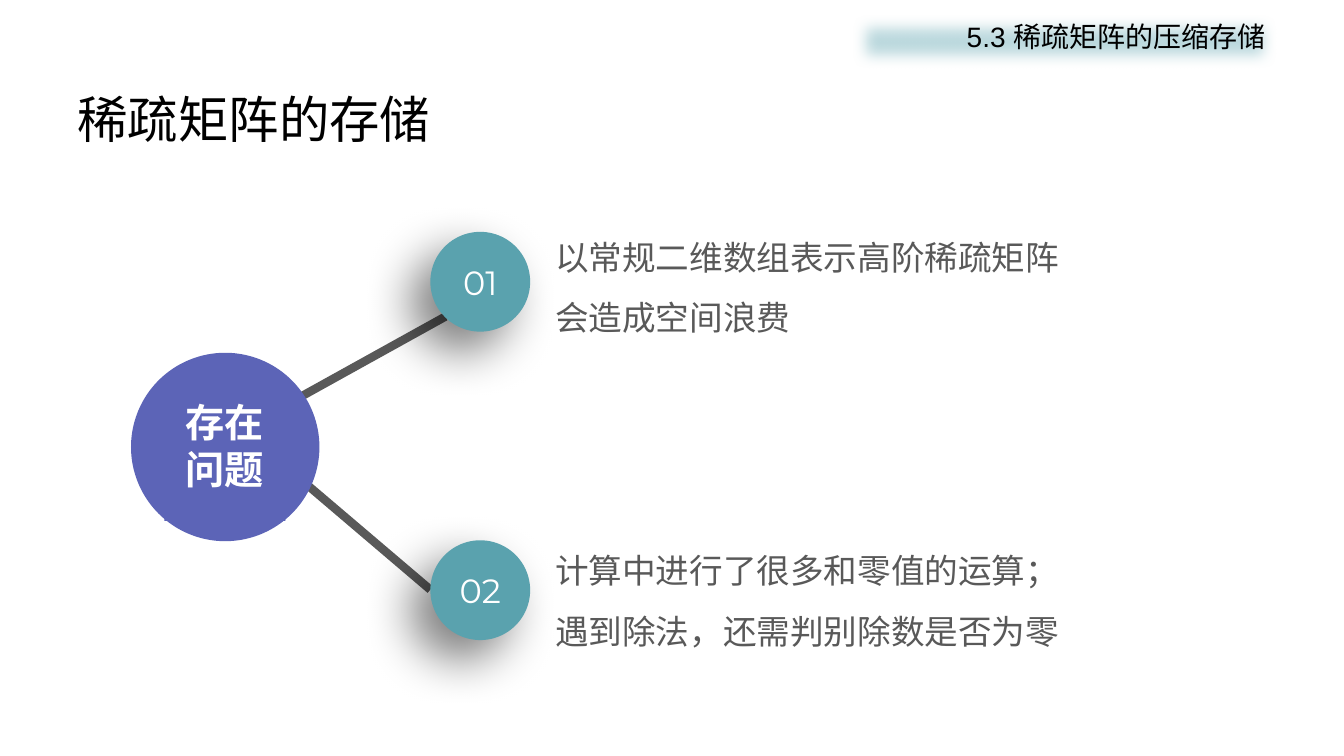
from lxml import etree
from pptx import Presentation
from pptx.dml import color
from pptx.enum import shapes, text
from pptx.oxml import ns
from pptx.util import Pt

CJK = "Noto Sans CJK SC"
TEAL, VIOLET, GREY, WHITE, BLACK = "5AA2AE", "5C64B7", "595959", "FFFFFF", "000000"
NODE_SIZE = 71.3


def rgb(value):
    return color.RGBColor.from_string(value)


def add_xml(parent, tag, **attributes):
    return etree.SubElement(parent, ns.qn(tag), {key: str(value) for key, value in attributes.items()})


def write(frame, lines, formats, shade, align=text.PP_ALIGN.LEFT, spacing=None):
    frame.text = "\n".join(lines)
    for paragraph in frame.paragraphs:
        paragraph.alignment = align
        paragraph.space_before = Pt(0)
        if spacing:
            paragraph.line_spacing = spacing
        for run in paragraph.runs:
            for name, value in formats.items():
                setattr(run.font, name, value)
            run.font.color.rgb = rgb(shade)
            if formats["name"] == CJK:
                add_xml(run.font._element, "a:ea", typeface=CJK)


def place(shape, left, top, width, height):
    shape.left, shape.top, shape.width, shape.height = map(Pt, (left, top, width, height))


def add_filled(container, kind, box, fill):
    shape = container.shapes.add_shape(kind, *map(Pt, box))
    shape.shadow.inherit = False
    shape.fill.solid()
    shape.fill.fore_color.rgb = rgb(fill)
    shape.line.fill.background()
    return shape


def add_branch(slide, start, end):
    branch = slide.shapes.add_connector(shapes.MSO_CONNECTOR.STRAIGHT, *map(Pt, start + end))
    branch.line.width = Pt(6)
    branch.line.color.rgb = rgb(GREY)
    add_xml(branch._element.spPr, "a:effectLst")


def add_node(slide, number, top):
    node = add_filled(slide, shapes.MSO_SHAPE.OVAL, (307.4, top, NODE_SIZE, NODE_SIZE), TEAL)
    effects = node._element.spPr.find(ns.qn("a:effectLst"))
    shadow = add_xml(effects, "a:outerShdw", blurRad=Pt(35), dist=Pt(20),
                     dir=135 * 60000, algn="tr", rotWithShape=0)
    add_xml(add_xml(shadow, "a:srgbClr", val=BLACK), "a:alpha", val=50000)
    node.text_frame.vertical_anchor = text.MSO_ANCHOR.MIDDLE
    write(node.text_frame, [number], {"name": "Montserrat", "size": Pt(24)}, WHITE,
          text.PP_ALIGN.CENTER)


def add_issue(slide, issue, top):
    frame = slide.shapes.add_textbox(*map(Pt, (389.5, top, 381.6, 87.8))).text_frame
    frame.word_wrap = True
    frame.auto_size = text.MSO_AUTO_SIZE.SHAPE_TO_FIT_TEXT
    write(frame, [issue], {"name": "Arial", "size": Pt(24)}, GREY, spacing=1.5)


def add_hub(slide):
    hub = slide.shapes.add_group_shape()
    ring = add_filled(hub, shapes.MSO_SHAPE.DONUT, (93.6, 252, 134.6, 134.6), VIOLET)
    ring.adjustments[0] = 0.05
    add_filled(hub, shapes.MSO_SHAPE.OVAL, (96.5, 254.9, 128.9, 128.9), VIOLET)
    caption = add_filled(hub, shapes.MSO_SHAPE.RECTANGLE, (117.4, 280.8, 86.4, 91.4), VIOLET)
    caption.text_frame.word_wrap = False
    caption.text_frame.auto_size = text.MSO_AUTO_SIZE.SHAPE_TO_FIT_TEXT
    caption.text_frame.vertical_anchor = text.MSO_ANCHOR.TOP
    write(caption.text_frame, ["存在", "问题"], {"name": CJK, "size": Pt(28), "bold": True},
          WHITE, text.PP_ALIGN.CENTER)


def format_title(title):
    place(title, 48.2, 57.6, 864, 54)
    title.text_frame.auto_size = text.MSO_AUTO_SIZE.NONE
    title.text_frame.vertical_anchor = text.MSO_ANCHOR.MIDDLE
    write(title.text_frame, ["稀疏矩阵的存储"], {"name": CJK, "size": Pt(36)}, BLACK)


def format_section(section):
    place(section, 609.1, 10.1, 302.4, 38.9)
    section.fill.solid()
    section.fill.fore_color.rgb = rgb("BDDADF")
    add_xml(add_xml(section._element.spPr, "a:effectLst"), "a:softEdge", rad=Pt(10))
    frame = section.text_frame
    frame.auto_size = text.MSO_AUTO_SIZE.NONE
    frame.vertical_anchor = text.MSO_ANCHOR.TOP
    write(frame, ["5.3 稀疏矩阵的压缩存储"], {"name": "Arial", "size": Pt(20)}, BLACK,
          text.PP_ALIGN.RIGHT)
    properties = frame.paragraphs[0]._p.get_or_add_pPr()
    properties.set("marL", "0")
    properties.set("indent", "0")
    add_xml(properties, "a:buNone")


def main():
    deck = Presentation()
    deck.slide_width, deck.slide_height = Pt(960), Pt(540)
    slide = deck.slides.add_slide(deck.slide_layouts[1])
    format_title(slide.shapes.title)
    format_section(slide.placeholders[1])
    hub_center = (172.8, 306.7)
    add_branch(slide, (307.4, 421.2), hub_center)
    add_branch(slide, hub_center, (318.2, 226.1))
    add_node(slide, "02", 385.9)
    add_node(slide, "01", 165.6)
    add_issue(slide, "以常规二维数组表示高阶稀疏矩阵会造成空间浪费", 151.2)
    add_hub(slide)
    add_issue(slide, "计算中进行了很多和零值的运算；遇到除法，还需判别除数是否为零", 375.1)
    deck.save("out.pptx")


if __name__ == "__main__":
    main()
